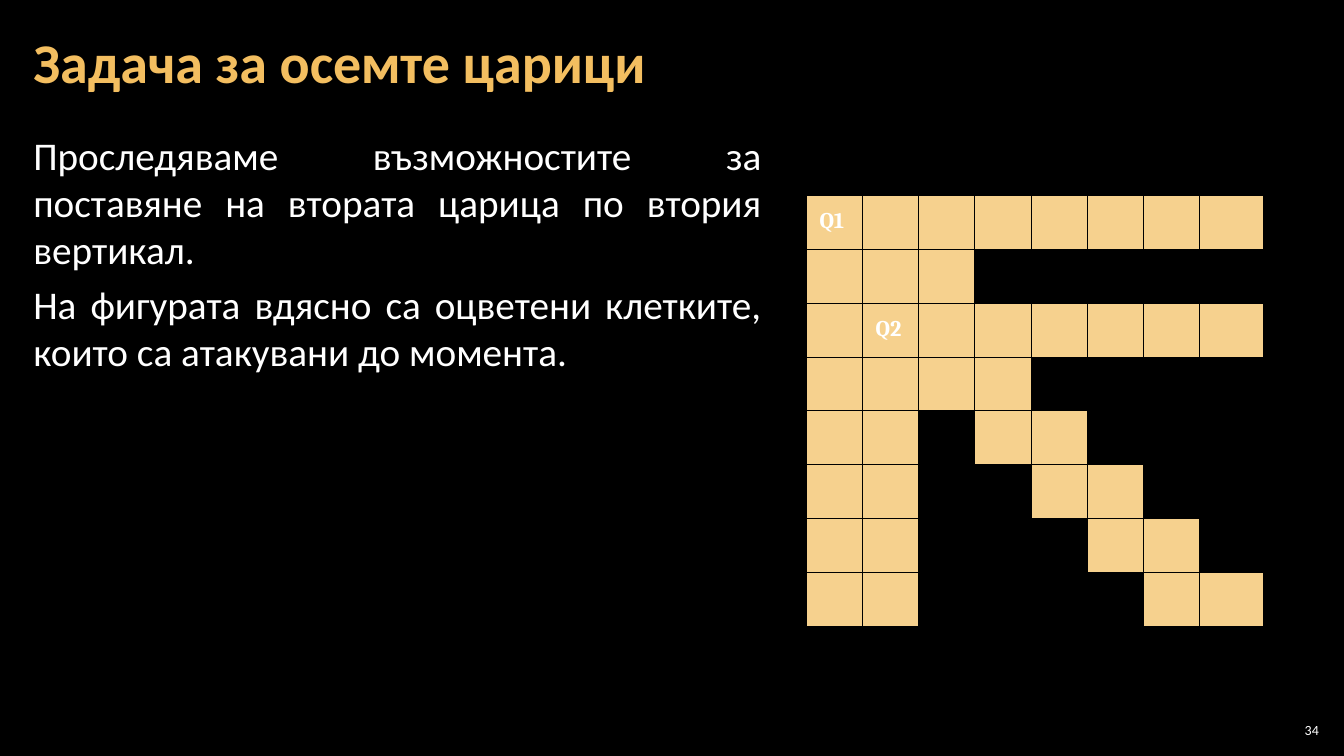
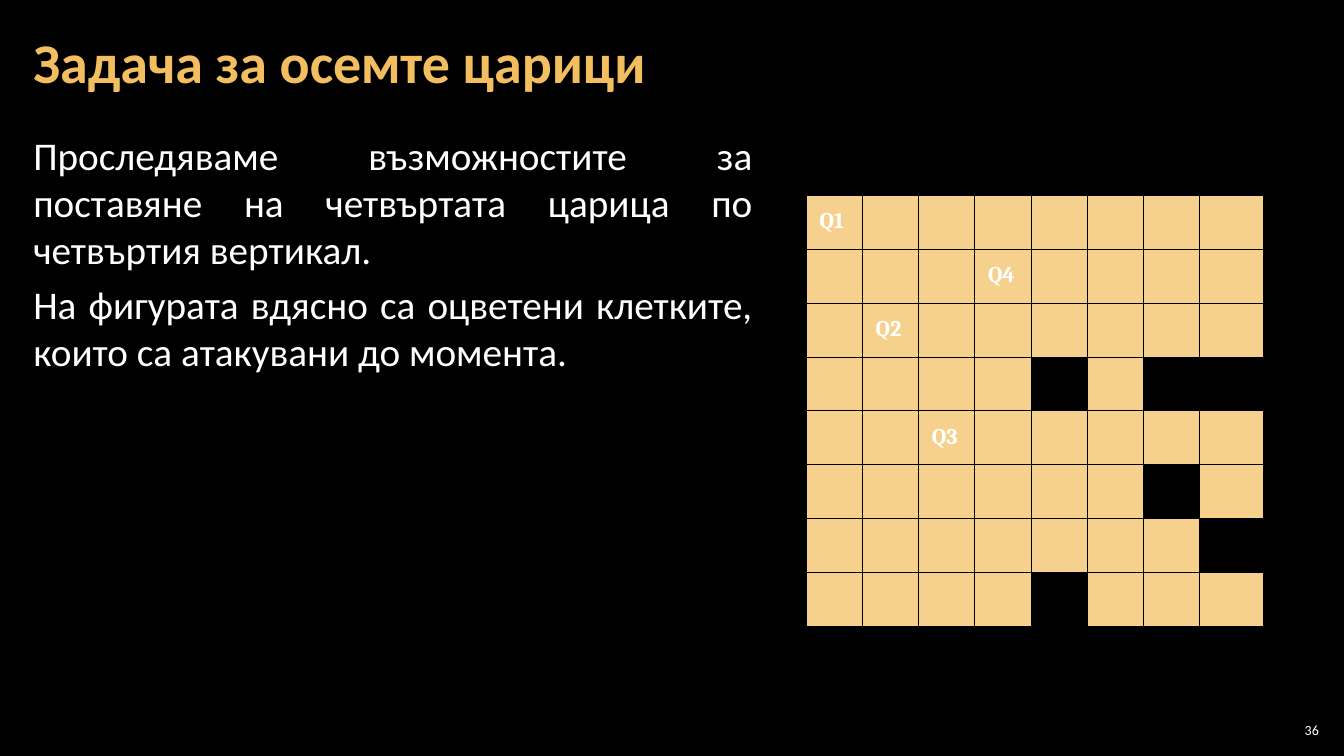
from dataclasses import dataclass
from lxml.etree import SubElement
from pptx import Presentation
from pptx.dml.color import RGBColor as RGB
from pptx.enum.text import MSO_ANCHOR as ANCHOR, PP_ALIGN as ALIGN
from pptx.oxml.ns import qn
from pptx.util import Inches, Pt


@dataclass(frozen=True)
class Theme:
    back: RGB = RGB(0x00, 0x00, 0x00)
    text: RGB = RGB(0xFF, 0xFF, 0xFF)
    title: RGB = RGB(0xF3, 0xBE, 0x60)
    attacked: RGB = RGB(0xF6, 0xD1, 0x8E)
    font: str = "Calibri"
    queen_font: str = "Cambria"
    title_size: int = 40
    body_size: int = 28
    queen_size: int = 16
    number_size: int = 10


th = Theme()
prs = Presentation()
prs.slide_width, prs.slide_height = Inches(13.33), Inches(7.5)
across, down = prs.slide_width / 100, prs.slide_height / 100

SIZE = 8
LEFT = 1.58
COL, LAST_COL, ROW = 4.18, 4.75, 7.12
TITLE = "Задача за осемте царици"
ATTACKED_NOTE = "На фигурата вдясно са оцветени клетките, които са атакувани до момента."
SLIDES = [
    (34, 55.96, [(0, 0), (2, 1)],
     "Проследяваме възможностите за поставяне на втората царица по втория вертикал."),
    (36, 55.29, [(0, 0), (2, 1), (4, 2), (1, 3)],
     "Проследяваме възможностите за поставяне на четвъртата царица по четвъртия вертикал."),
]


def add_run(p, text, size, color, font=th.font, bold=False):
    r = p.add_run()
    r.text = text
    r.font.name, r.font.size, r.font.bold = font, Pt(size), bold
    r.font.color.rgb = color


def add_text(s, x, y, w, h, side=0.12, anchor=ANCHOR.MIDDLE):
    sp = s.shapes.add_textbox(round(x * across), round(y * down),
                              round(w * across), round(h * down))
    tf = sp.text_frame
    tf.word_wrap = True
    tf.vertical_anchor = anchor
    tf.margin_left = tf.margin_right = Inches(side)
    tf.margin_top = tf.margin_bottom = Inches(0.04)
    return tf


for number, body_width, queens, task in SLIDES:
    s = prs.slides.add_slide(prs.slide_layouts[6])
    s.background.fill.solid()
    s.background.fill.fore_color.rgb = th.back

    tf = add_text(s, LEFT, 16.8, body_width, 81.2, anchor=ANCHOR.TOP)
    for i, text in enumerate([task, ATTACKED_NOTE]):
        p = tf.add_paragraph() if i else tf.paragraphs[0]
        p.alignment = ALIGN.JUSTIFY
        p.space_after = Pt(6)
        add_run(p, text, th.body_size, th.text)

    p = add_text(s, LEFT, 0.53, 96.85, 16.13).paragraphs[0]
    p.line_spacing = 0.9
    add_run(p, TITLE, th.title_size, th.title, bold=True)

    widths = [COL] * (SIZE - 1) + [LAST_COL]
    board = s.shapes.add_table(SIZE, SIZE, round(60 * across), round(25.87 * down),
                               round(sum(widths) * across), round(SIZE * ROW * down)).table
    board.first_row = board.horz_banding = False
    for col, width in zip(board.columns, widths):
        col.width = round(width * across)
    for row in board.rows:
        row.height = round(ROW * down)

    for i in range(SIZE):
        for j in range(SIZE):
            cell = board.cell(i, j)
            tcPr = cell._tc.get_or_add_tcPr()
            for side in ("L", "R", "T", "B"):
                ln = SubElement(tcPr, qn(f"a:ln{side}"), w=str(Pt(0.75)))
                fill = SubElement(ln, qn("a:solidFill"))
                SubElement(fill, qn("a:srgbClr"), val=str(th.back))
            hit = any(i == a or j == b or abs(i - a) == abs(j - b) for a, b in queens)
            cell.fill.solid()
            cell.fill.fore_color.rgb = th.attacked if hit else th.back
            if (i, j) in queens:
                cell.margin_left = cell.margin_right = Inches(0.13)
                cell.margin_top = cell.margin_bottom = Inches(0.13)
                add_run(cell.text_frame.paragraphs[0], f"Q{queens.index((i, j)) + 1}",
                        th.queen_size, th.text, th.queen_font, True)

    p = add_text(s, 94.9, 95.2, 3.53, 2.8, side=0.04).paragraphs[0]
    p.alignment = ALIGN.RIGHT
    add_run(p, str(number), th.number_size, th.text)

prs.save("out.pptx")
